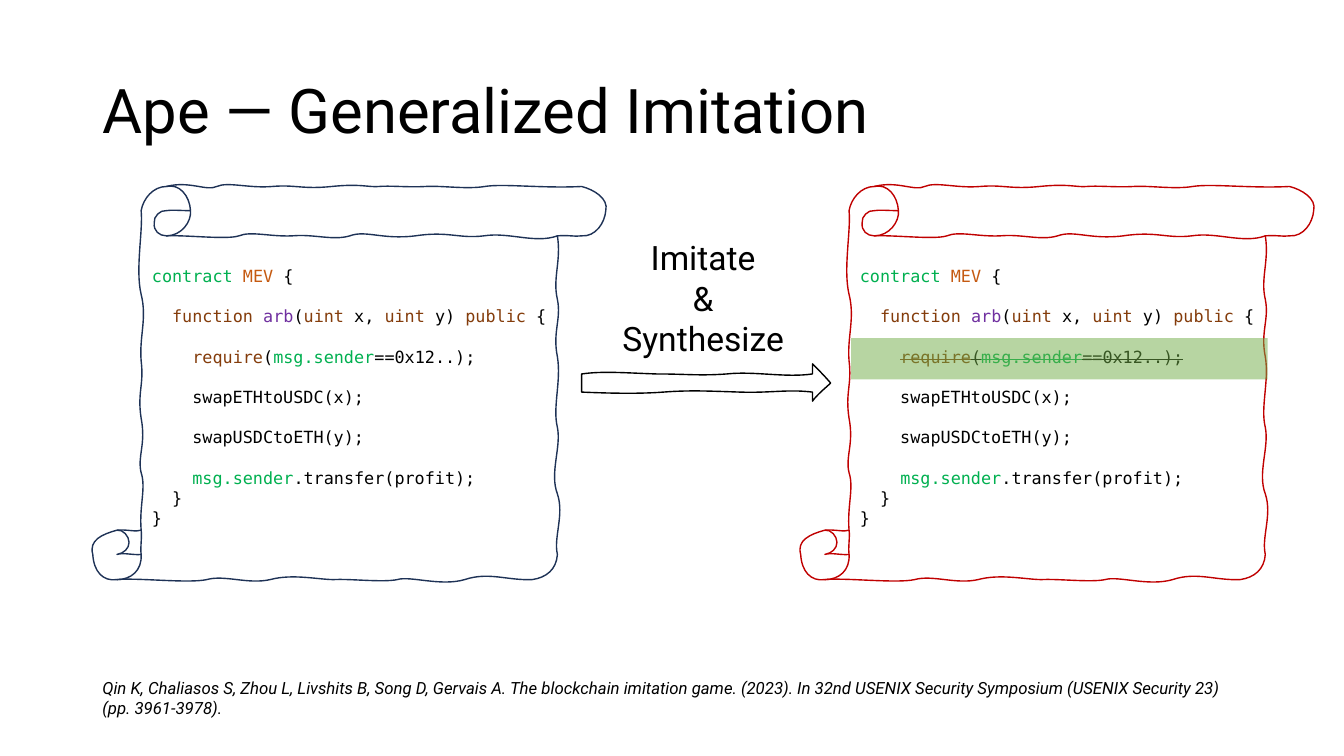
from lxml import etree
from pptx import Presentation
from pptx.dml.color import RGBColor
from pptx.enum.shapes import MSO_SHAPE as SHAPE
from pptx.enum.text import MSO_ANCHOR as ANCHOR, MSO_AUTO_SIZE as AUTO, PP_ALIGN as ALIGN
from pptx.oxml.ns import qn
from pptx.util import Cm, Pt

SANS, MONO = "Roboto", "DejaVu Sans Mono"
CODE_LINE = Pt(14.4)
COLORS = {
    "black": "000000", "navy": "1E3256", "red": "C00000",
    "green": "00B050", "orange": "C55A11", "brown": "843C0B",
    "purple": "7030A0", "highlight": "70AD47",
}

# Each line of the contract: blank line above it, then (text, colour) tokens.
CONTRACT = [
    (False, [("contract ", "green"), ("MEV", "orange"), (" {", "black")]),
    (True, [("  ", "black"), ("function ", "brown"), ("arb", "purple"), ("(", "black"),
            ("uint", "brown"), (" x, ", "black"), ("uint", "brown"), (" y) ", "black"),
            ("public", "brown"), (" {", "black")]),
    (True, [("    ", "black"), ("require", "brown"), ("(", "black"),
            ("msg.sender", "green"), ("==0x12..);", "black")]),
    (True, [("    swapETHtoUSDC(x);", "black")]),
    (True, [("    swapUSDCtoETH(y);", "black")]),
    (True, [("    ", "black"), ("msg.sender", "green"), (".transfer(profit);", "black")]),
    (False, [("  }", "black")]),
    (False, [("}", "black")]),
]
REQUIRE_LINE = 2

# Hand-drawn curves in hundredths of an inch from the top left of their box:
# a start point, then two control points and an end point for each curve.
SCROLL_OUTLINE = """48,341
46,317 53,299 48,284  44,268 53,256 48,230  44,204 51,197 48,173
46,149 54,131 48,107  42,82 50,44 48,24  50,12 60,0 73,0
96,-6 113,5 123,0  134,-5 155,2 178,0  201,-2 208,3 237,0
266,-3 274,1 284,0  293,-1 314,1 330,0  346,-1 371,3 389,0
407,-3 447,2 485,0  497,3 512,12 509,24  508,36 499,50 485,49
478,50 472,48 461,49  465,74 456,91 461,112  465,132 456,144 461,169
465,193 456,219 461,239  465,259 453,284 461,305  468,326 457,348 461,365
460,380 450,388 436,390  411,391 393,382 369,390  345,397 315,386 302,390
288,393 254,389 239,390  224,390 198,384 176,390  154,395 131,385 113,390
95,394 45,388 24,390  10,392 1,382 0,365  -4,351 9,345 24,341
34,340 43,343 48,341"""
SCROLL_FOLDS = [
    """73,0 86,-3 96,9 97,24  98,35 88,49 73,49  66,49 60,44 61,36
    60,30 67,23 73,24  78,23 87,24 97,24""",
    """461,49 439,57 413,45 388,49  363,52 353,44 320,49  287,53 271,43 255,49
    238,54 220,47 198,49  176,50 157,44 145,49  133,53 93,48 73,49""",
    "24,341 30,340 36,347 36,353  36,359 31,364 24,365  31,363 41,366 48,365",
    "24,390 38,390 49,381 48,365  47,358 49,347 48,341",
]
ARROW_OUTLINE = """0,10 21,7 43,9 74,10  105,10 116,12 144,10  171,7 202,14 229,10
229,5 229,4 229,0  235,6 240,11 247,19  243,23 234,30 229,37
229,33 229,31 229,28  204,25 189,29 157,28  126,27 107,26 81,28
55,30 23,29 0,28  0,22 0,18 0,10"""


def rgb(name):
    return RGBColor.from_string(COLORS[name])


def curve_points(curves):
    return [tuple(Cm(float(n) * 0.0254) for n in pair.split(",")) for pair in curves.split()]


def bend_segments(sp):
    """Turn every three line segments into one cubic curve."""
    segments = list(sp._element.iter(qn("a:lnTo")))
    for first, second, third in zip(*[iter(segments)] * 3):
        curve = etree.Element(qn("a:cubicBezTo"))
        first.addprevious(curve)
        for segment in (first, second, third):
            curve.append(segment[0])
            segment.getparent().remove(segment)


def add_sketch(slide, left, top, outline, folds, color):
    """Draw a closed wavy outline with open folds inside it."""
    start, *rest = curve_points(outline)
    builder = slide.shapes.build_freeform(*start)
    builder.add_line_segments(rest, close=True)
    for fold in folds:
        start, *rest = curve_points(fold)
        builder.move_to(*start)
        builder.add_line_segments(rest, close=False)
    sp = builder.convert_to_shape(Cm(left), Cm(top))
    bend_segments(sp)
    sp.shadow.inherit = False
    sp.fill.background()
    sp.line.color.rgb = rgb(color)
    sp.line.width = Pt(1)


def add_text_frame(slide, left, top, width, height, wrap=True):
    tf = slide.shapes.add_textbox(Cm(left), Cm(top), Cm(width), Cm(height)).text_frame
    tf.word_wrap = wrap
    return tf


def format_run(r, font, size, color="black"):
    r.font.name = font
    r.font.size = Pt(size)
    r.font.color.rgb = rgb(color)


def add_title(slide, left, top, width, height):
    title = slide.shapes.title
    title.left, title.top, title.width, title.height = Cm(left), Cm(top), Cm(width), Cm(height)
    tf = title.text_frame
    tf.text = "Ape — Generalized Imitation"
    tf.auto_size = AUTO.NONE
    tf.vertical_anchor = ANCHOR.MIDDLE
    p = tf.paragraphs[0]
    p.alignment = ALIGN.LEFT
    p.line_spacing = 0.9
    format_run(p.runs[0], SANS, 44)


def add_contract(slide, left, top, color, struck_line=None):
    """Draw a scroll with the contract code, one line of it struck out if asked."""
    add_sketch(slide, left, top, SCROLL_OUTLINE, SCROLL_FOLDS, color)
    tf = add_text_frame(slide, left + 1.24, top + 1.87, 10.6, 6.93)
    for i, (gap, tokens) in enumerate(CONTRACT):
        p = tf.paragraphs[0] if i == 0 else tf.add_paragraph()
        p.line_spacing = CODE_LINE
        if gap:
            p.space_before = CODE_LINE
        for text, token_color in tokens:
            r = p.add_run()
            r.text = text
            format_run(r, MONO, 12, token_color)
            if i == struck_line and text.strip():
                r.font._element.set("strike", "sngStrike")


def add_step(slide, left, top):
    """Place the step's label above its arrow."""
    tf = add_text_frame(slide, left + 0.71, top, 4.7, 3.33, wrap=False)
    tf.text = "Imitate\n&\nSynthesize"
    for p in tf.paragraphs:
        p.alignment = ALIGN.CENTER
        format_run(p.runs[0], SANS, 24)
    add_sketch(slide, left, top + 3.32, ARROW_OUTLINE, [], "black")


def add_highlight(slide, left, top, width, height):
    sp = slide.shapes.add_shape(SHAPE.RECTANGLE, Cm(left), Cm(top), Cm(width), Cm(height))
    sp.shadow.inherit = False
    sp.line.fill.background()
    sp.fill.solid()
    sp.fill.fore_color.rgb = rgb("highlight")
    clr = sp._element.spPr.find(qn("a:solidFill"))[0]
    etree.SubElement(clr, qn("a:alpha")).set("val", "50000")


def add_citation(slide, left, top, width, height):
    tf = add_text_frame(slide, left, top, width, height)
    tf.text = ("Qin K, Chaliasos S, Zhou L, Livshits B, Song D, Gervais A. "
               "The blockchain imitation game. (2023). In 32nd USENIX Security Symposium "
               "(USENIX Security 23) (pp. 3961-3978).")
    r = tf.paragraphs[0].runs[0]
    format_run(r, SANS, 12)
    r.font.italic = True


def main():
    prs = Presentation()
    prs.slide_width, prs.slide_height = Cm(33.87), Cm(19.05)
    slide = prs.slides.add_slide(prs.slide_layouts[5])
    add_title(slide, 2.33, 1.01, 29.21, 3.68)
    add_contract(slide, 2.34, 4.7, "navy")
    add_contract(slide, 20.18, 4.7, "red", struck_line=REQUIRE_LINE)
    add_step(slide, 14.66, 5.85)
    add_highlight(slide, 21.45, 8.52, 10.5, 1.04)
    add_citation(slide, 2.33, 16.95, 28.98, 1.27)
    prs.save("out.pptx")


if __name__ == "__main__":
    main()
